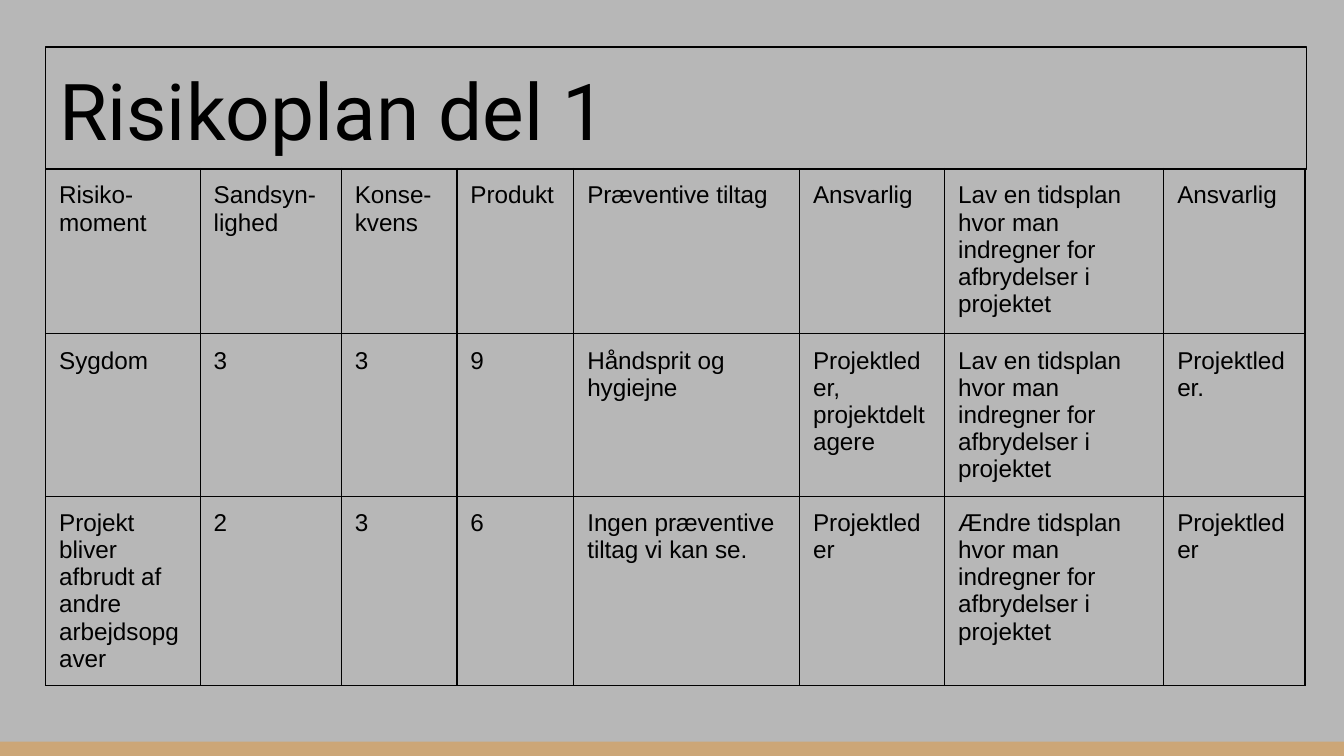
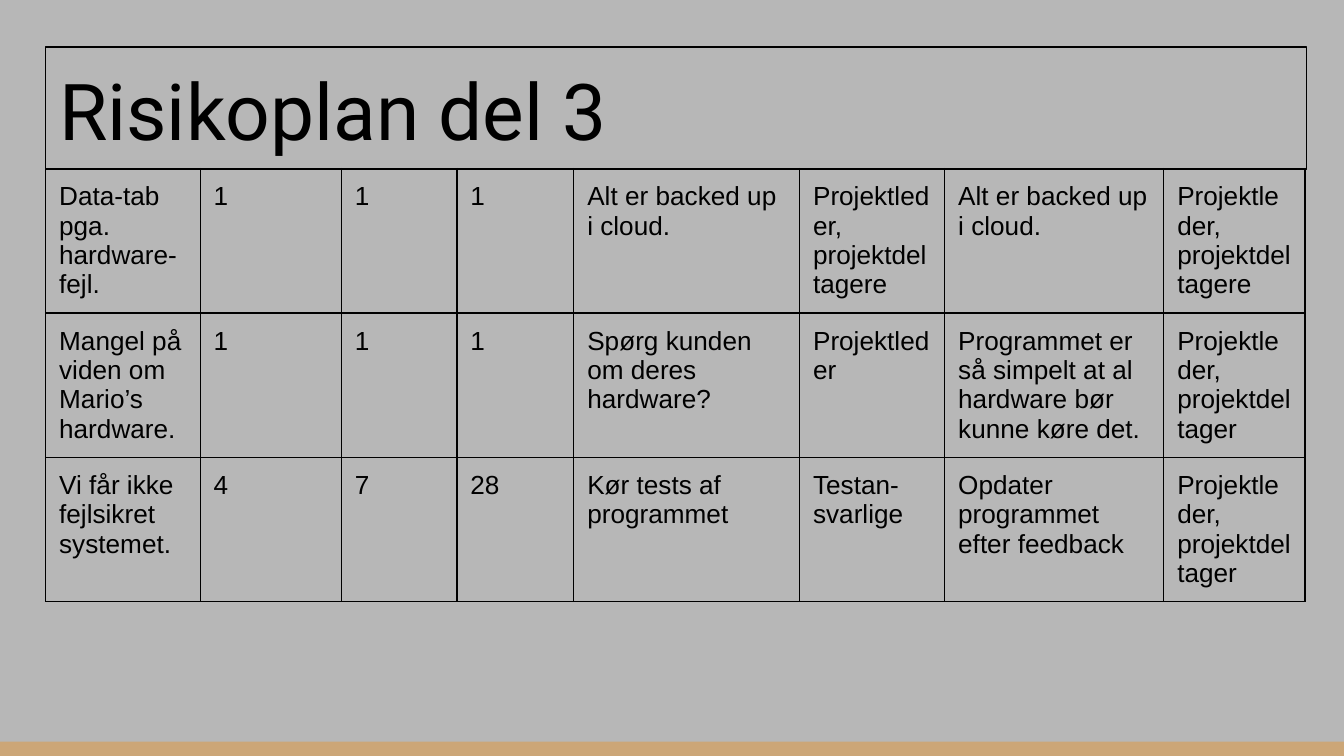
import pptx
import pptx.dml.color
import pptx.enum.shapes
import pptx.enum.text
import pptx.oxml
import pptx.oxml.ns
import pptx.util

# Shared style; lengths are percentages of the slide's width and height
BACKGROUND, BAND, INK = "B7B7B7", "CCA677", "000000"
TITLE_FONT, TITLE_SIZE, BODY_FONT = "Roboto", 42, "Arial"
LEFT = 3.4
COLUMNS = [11.5, 10.5, 8.6, 8.7, 16.8, 10.8, 16.3, 10.5]
TITLE_BOX = (LEFT, 6.2, 93.8, 16.2)
TABLE_TOP = 22.3
BAND_BOX = (0, 98.1, 100, 1.9)
INSET = pptx.util.Inches(0.1)
LINE = pptx.util.Pt(0.75)


def color(value):
    return pptx.dml.color.RGBColor.from_string(value)


class Deck:
    def __init__(self):
        self.prs = pptx.Presentation()
        self.prs.slide_width = pptx.util.Inches(10)
        self.prs.slide_height = pptx.util.Inches(10 * 9 / 16)
        self.s = None

    def x(self, share):
        return round(self.prs.slide_width * share / 100)

    def y(self, share):
        return round(self.prs.slide_height * share / 100)

    def box(self, left, top, width, height):
        return self.x(left), self.y(top), self.x(width), self.y(height)

    def slide(self):
        self.s = self.prs.slides.add_slide(self.prs.slide_layouts[5])
        fill = self.s.background.fill
        fill.solid()
        fill.fore_color.rgb = color(BACKGROUND)

    def band(self):
        sp = self.s.shapes.add_shape(
            pptx.enum.shapes.MSO_SHAPE.RECTANGLE, *self.box(*BAND_BOX))
        sp.shadow.inherit = False
        sp.fill.solid()
        sp.fill.fore_color.rgb = color(BAND)
        sp.line.fill.background()

    def insets(self, frame):
        frame.margin_left = frame.margin_right = INSET
        frame.margin_top = frame.margin_bottom = INSET

    def add_text(self, tf, text, font, size):
        for i, line in enumerate(text.split("\n")):
            p = tf.paragraphs[0] if i == 0 else tf.add_paragraph()
            p.alignment = pptx.enum.text.PP_ALIGN.LEFT
            r = p.add_run()
            r.text = line
            r.font.name = font
            r.font.size = pptx.util.Pt(size)
            r.font.color.rgb = color(INK)

    def title(self, text):
        sp = self.s.shapes.title
        sp.left, sp.top, sp.width, sp.height = self.box(*TITLE_BOX)
        sp.line.color.rgb = color(INK)
        sp.line.width = LINE
        tf = sp.text_frame
        tf.word_wrap = True
        tf.auto_size = pptx.enum.text.MSO_AUTO_SIZE.NONE
        tf.vertical_anchor = pptx.enum.text.MSO_ANCHOR.BOTTOM
        self.insets(tf)
        self.add_text(tf, text, TITLE_FONT, TITLE_SIZE)

    def borders(self, cell):
        tc_pr = cell._tc.get_or_add_tcPr()
        for side in ("lnL", "lnR", "lnT", "lnB"):
            tc_pr.append(pptx.oxml.parse_xml(
                f'<a:{side} {pptx.oxml.ns.nsdecls("a")} w="{LINE}">'
                f'<a:solidFill><a:srgbClr val="{INK}"/></a:solidFill></a:{side}>'))

    def table(self, rows, heights, size):
        frame = self.s.shapes.add_table(
            len(rows), len(COLUMNS),
            *self.box(LEFT, TABLE_TOP, sum(COLUMNS), sum(heights)))
        table = frame.table
        table.first_row = table.horz_banding = False
        for column, width in zip(table.columns, COLUMNS):
            column.width = self.x(width)
        for row, height, texts in zip(table.rows, heights, rows):
            row.height = self.y(height)
            for cell, text in zip(row.cells, texts):
                self.insets(cell)
                self.borders(cell)
                cell.fill.background()
                self.add_text(cell.text_frame, text, BODY_FONT, size)


# Wording used in several cells
LEADER = "Projektleder"
MEMBERS = "Projektleder, projektdeltagere"
MEMBER = "Projektleder, projektdeltager"
SCHEDULE = "tidsplan hvor man indregner for afbrydelser i projektet"
BACKUP = "Alt er backed up i cloud."

# Title, row heights, text size and rows of each slide
SLIDES = [
    ("Risikoplan del 1", [21.87, 9.6, 9.6], 13, [
        ["Risiko-\nmoment", "Sandsyn-\nlighed", "Konse-\nkvens", "Produkt",
         "Præventive tiltag", "Ansvarlig", f"Lav en {SCHEDULE}", "Ansvarlig"],
        ["Sygdom", "3", "3", "9", "Håndsprit og hygiejne", MEMBERS,
         f"Lav en {SCHEDULE}", f"{LEADER}."],
        ["Projekt bliver afbrudt af andre arbejdsopgaver", "2", "3", "6",
         "Ingen præventive tiltag vi kan se.", LEADER,
         f"Ændre {SCHEDULE}", LEADER],
    ]),
    ("Risikoplan del 3", [17.6, 9.24, 9.24], 14, [
        ["Data-tab pga. hardware-fejl.", "1", "1", "1", BACKUP, MEMBERS,
         BACKUP, MEMBERS],
        ["Mangel på viden om Mario’s hardware.", "1", "1", "1",
         "Spørg kunden om deres hardware?", LEADER,
         "Programmet er så simpelt at al hardware bør kunne køre det.", MEMBER],
        ["Vi får ikke fejlsikret systemet.", "4", "7", "28",
         "Kør tests af programmet", "Testan-\nsvarlige",
         "Opdater programmet efter feedback", MEMBER],
    ]),
]


def main():
    deck = Deck()
    for title, heights, size, rows in SLIDES:
        deck.slide()
        deck.band()
        deck.title(title)
        deck.table(rows, heights, size)
    deck.prs.save("out.pptx")


if __name__ == "__main__":
    main()
